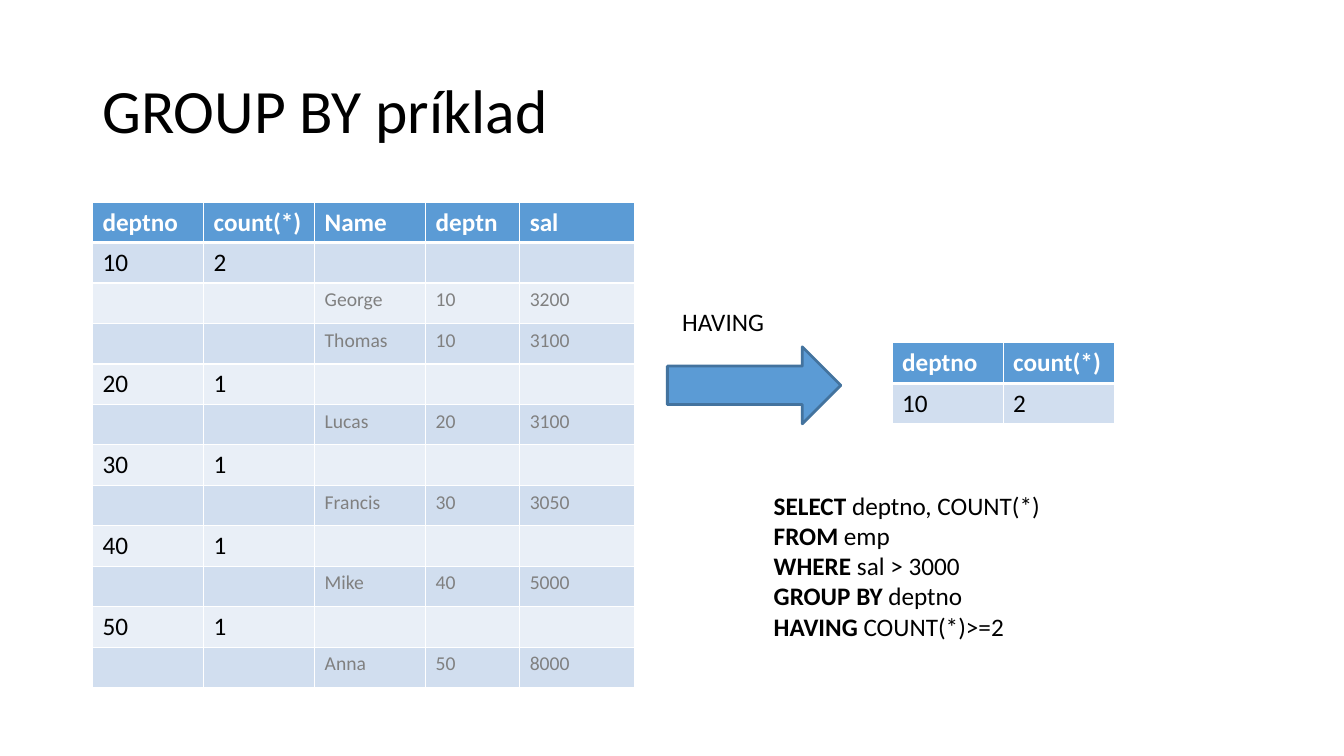
from lxml import etree
from pptx import Presentation
from pptx.dml.color import RGBColor
from pptx.enum.shapes import MSO_SHAPE
from pptx.enum.text import MSO_ANCHOR
from pptx.oxml.ns import qn
from pptx.util import Cm, Pt

ARROW = MSO_SHAPE.RIGHT_ARROW
MIDDLE = MSO_ANCHOR.MIDDLE
FONT = "Calibri"
BLACK, WHITE, GRAY = "000000", "FFFFFF", "808080"
BLUE, EDGE = "5B9BD5", "43739E"
BANDS = ("E9EFF7", "D1DEEF")
KEY_COL, ROW = 2.8, 1.02
THIN, THICK = 0.96, 3

GROUPS = [
    ("10", [("George", "3200"), ("Thomas", "3100")]),
    ("20", [("Lucas", "3100")]),
    ("30", [("Francis", "3050")]),
    ("40", [("Mike", "5000")]),
    ("50", [("Anna", "8000")]),
]
QUERY = [
    ("SELECT", " deptno, COUNT(*)"),
    ("FROM", " emp"),
    ("WHERE", " sal > 3000"),
    ("GROUP BY", " deptno"),
    ("HAVING", " COUNT(*)>=2"),
]


def color(code):
    """Turn a hex string into a colour."""
    return RGBColor.from_string(code)


def add_run(para, text, size=18, tint=BLACK, bold=False):
    """Add one styled run to a paragraph."""
    run = para.add_run()
    run.text = text
    font = run.font
    font.name, font.size, font.bold = FONT, Pt(size), bold
    font.color.rgb = color(tint)


def add_box(slide, left, top, width, height, wrap=True):
    """Add a text box and return its frame."""
    box = slide.shapes.add_textbox(Cm(left), Cm(top), Cm(width), Cm(height))
    box.text_frame.word_wrap = wrap
    return box.text_frame


def add_title(slide, text):
    """Add the slide title."""
    frame = add_box(slide, 2.33, 1.01, 29.21, 3.68)
    frame.vertical_anchor = MIDDLE
    para = frame.paragraphs[0]
    para.line_spacing = 0.9
    add_run(para, text, 44)


def add_query(slide, lines):
    """Add the SQL query with bold keywords."""
    para = add_box(slide, 19.25, 12.22, 10.24, 4.06).paragraphs[0]
    for i, (word, rest) in enumerate(lines):
        if i:
            para.add_line_break()
        add_run(para, word, bold=True)
        add_run(para, rest)


def add_step(slide, label):
    """Add the block arrow and the label above it."""
    arrow = slide.shapes.add_shape(ARROW, Cm(16.82), Cm(8.74), Cm(4.37), Cm(1.94))
    arrow.shadow.inherit = False
    arrow.fill.solid()
    arrow.fill.fore_color.rgb = color(BLUE)
    arrow.line.color.rgb = color(EDGE)
    arrow.line.width = Pt(2)
    frame = add_box(slide, 16.94, 7.6, 2.57, 1.02, wrap=False)
    add_run(frame.paragraphs[0], label)


def set_edges(cell, top, base):
    """Draw white borders around a cell."""
    props = cell._tc.get_or_add_tcPr()
    for side, width in zip("LRTB", (THIN, THIN, top, base)):
        line = etree.SubElement(props, qn(f"a:ln{side}"), w=str(int(Pt(width))))
        fill = etree.SubElement(line, qn("a:solidFill"))
        etree.SubElement(fill, qn("a:srgbClr"), val=WHITE)


def add_grid(slide, left, top, cols, rows):
    """Add a banded table; gray small text from the third column on."""
    frame = slide.shapes.add_table(
        len(rows), len(cols), Cm(left), Cm(top), Cm(sum(cols)), Cm(ROW * len(rows)))
    table = frame.table
    for col, width in zip(table.columns, cols):
        col.width = Cm(width)
    for r, row in enumerate(rows):
        table.rows[r].height = Cm(ROW)
        for c, text in enumerate(row):
            cell = table.cell(r, c)
            set_edges(cell, THICK if r == 1 else THIN, THICK if r == 0 else THIN)
            cell.fill.solid()
            cell.fill.fore_color.rgb = color(BANDS[r % 2] if r else BLUE)
            if not text:
                continue
            para = cell.text_frame.paragraphs[0]
            if r == 0:
                add_run(para, text, tint=WHITE, bold=True)
            elif c < 2:
                add_run(para, text)
            else:
                add_run(para, text, 14, GRAY)


def list_rows(groups):
    """List each group row followed by its members."""
    rows = [("deptno", "count(*)", "Name", "deptn", "sal")]
    for dept, staff in groups:
        rows.append((dept, str(len(staff)), "", "", ""))
        rows += [("", "", name, dept, sal) for name, sal in staff]
    return rows


def main():
    """Build and save the slide."""
    deck = Presentation()
    deck.slide_width, deck.slide_height = Cm(33.87), Cm(19.05)
    slide = deck.slides.add_slide(deck.slide_layouts[6])
    rows = list_rows(GROUPS)
    add_title(slide, "GROUP BY príklad")
    add_step(slide, "HAVING")
    add_query(slide, QUERY)
    add_grid(slide, 2.33, 5.09, [KEY_COL] * 3 + [2.37, 2.9], rows)
    add_grid(slide, 22.48, 8.64, [KEY_COL] * 2, [row[:2] for row in rows[:2]])
    deck.save("out.pptx")


main()
